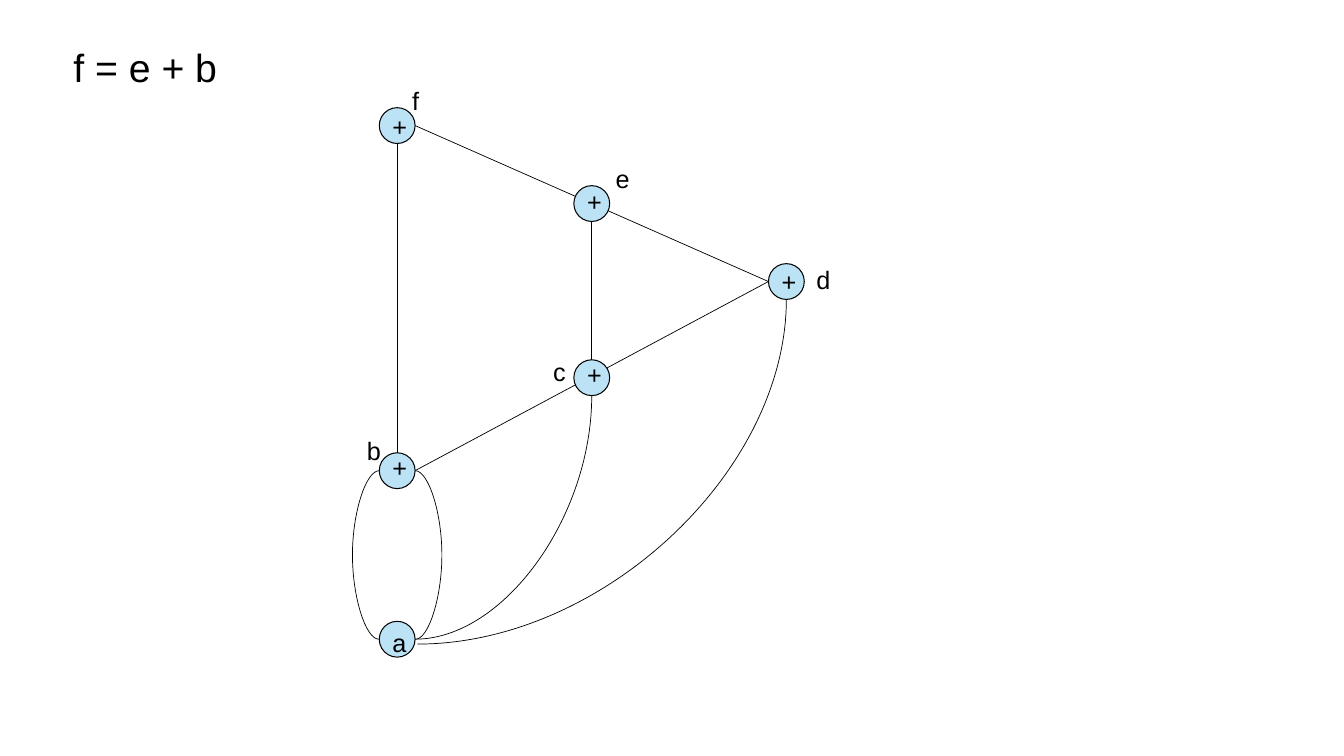
from lxml import etree
from pptx import Presentation
from pptx.dml.color import RGBColor
from pptx.enum.shapes import MSO_CONNECTOR, MSO_SHAPE
from pptx.oxml.ns import qn
from pptx.util import Pt

STRAIGHT, CURVE = MSO_CONNECTOR.STRAIGHT, MSO_CONNECTOR.CURVE
OVAL = MSO_SHAPE.OVAL
BLACK = RGBColor(0x00, 0x00, 0x00)
BLUE = RGBColor(0xBC, 0xE2, 0xF5)

R = 12.8  # node radius
COLS = [283.7 + 139 * i for i in range(3)]
ROWS = [89.7 + 55.7 * i for i in range(3)]

# Node: centre, text inside, rise of the text box above the centre
NODES = {
    "a": (COLS[0], 456.6, "a", 12.3),
    "b": (COLS[0], 336.2, "+", 16.4),
    "c": (COLS[1], 269.8, "+", 16.4),
    "d": (COLS[2], ROWS[2], "+", 14.5),
    "e": (COLS[1], ROWS[1], "+", 15.8),
    "f": (COLS[0], ROWS[0], "+", 14.1),
}
# Name beside each node: left, top, width
NAMES = {
    "b": (254.9, 307.4, 24),
    "c": (388.1, 251.3, 24),
    "d": (576, 185, 24),
    "e": (432.7, 113, 36),
    "f": (287.3, 57.6, 31),
}
# Straight edges: from node, side of it, to node, side of it
EDGES = [
    ("f", (1, 0), "d", (-1, 0)),
    ("b", (1, 0), "d", (-1, 0)),
    ("f", (0, 1), "b", (0, -1)),
    ("e", (0, 1), "c", (0, -1)),
]


class Diagram:
    def __init__(self, slide, font="Arial", size=18):
        self.s, self.font, self.size = slide, font, size

    def line(self, start, end, kind=STRAIGHT):
        c = self.s.shapes.add_connector(kind, *map(Pt, (*start, *end)))
        c.line.color.rgb = BLACK
        c.line.width = Pt(0.5)
        etree.SubElement(c._element.spPr, qn("a:effectLst"))
        return c

    def curve(self, start, end, preset, bulge=None):
        c = self.line(start, end, CURVE)
        geom = c._element.spPr.find(qn("a:prstGeom"))
        geom.set("prst", preset)
        if bulge:
            guides = geom.find(qn("a:avLst"))
            etree.SubElement(guides, qn("a:gd"), name="adj1", fmla=f"val {bulge}")

    def node(self, x, y):
        sp = self.s.shapes.add_shape(OVAL, Pt(x - R), Pt(y - R), Pt(2 * R), Pt(2 * R))
        sp.shadow.inherit = False
        sp.fill.solid()
        sp.fill.fore_color.rgb = BLUE
        sp.line.color.rgb = BLACK
        sp.line.width = Pt(0.75)

    def text(self, text, left, top, width, height=29, size=None):
        box = self.s.shapes.add_textbox(Pt(left), Pt(top), Pt(width), Pt(height))
        tf = box.text_frame
        tf.word_wrap = True
        p = tf.paragraphs[0]
        p.text = text
        p.font.name = self.font
        p.font.size = Pt(size or self.size)
        p.font.color.rgb = BLACK


def side(name, direction):
    x, y = NODES[name][:2]
    return x + R * direction[0], y + R * direction[1]


def main():
    prs = Presentation()
    prs.slide_width, prs.slide_height = Pt(960), Pt(540)
    d = Diagram(prs.slides.add_slide(prs.slide_layouts[6]))

    # Straight edges
    for start, start_side, end, end_side in EDGES:
        d.line(side(start, start_side), side(end, end_side))

    # Double edge between b and a
    for way in (-1, 1):
        x, y = side("b", (way, 0))
        d.curve((x, y), (x + way * 0.25, NODES["a"][1]), "curvedConnector3", 7500000)

    # Sweeping edges from a up to c and d
    x, y = side("a", (1, 0))
    d.curve((x, y), side("c", (0, 1)), "curvedConnector2")
    d.curve((x + 1.6, y + 3.5), side("d", (0, 1)), "curvedConnector2")

    # Nodes with their signs
    for x, y, sign, rise in NODES.values():
        d.node(x, y)
        d.text(sign, x - 10.5, y - rise, 24)

    # Names and title
    for name, (left, top, width) in NAMES.items():
        d.text(name, left, top, width)
    d.text("f = e + b", 45.4, 27.4, 606, 41, size=28)

    prs.save("out.pptx")


if __name__ == "__main__":
    main()
